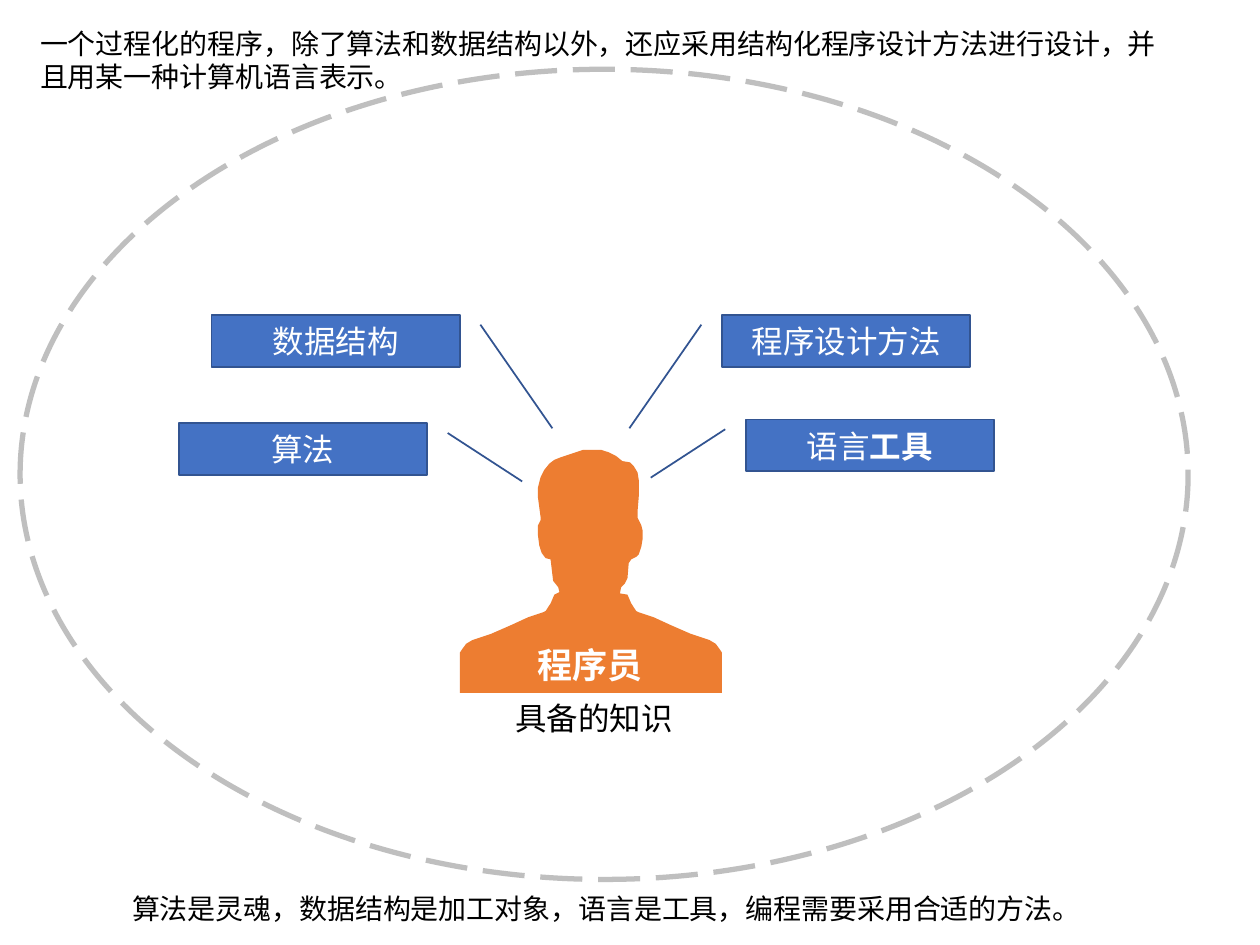
from dataclasses import dataclass

from lxml import etree
from pptx import Presentation
from pptx.dml.color import RGBColor
from pptx.enum.dml import MSO_LINE
from pptx.enum.shapes import MSO_SHAPE
from pptx.enum.text import MSO_ANCHOR, MSO_AUTO_SIZE, PP_ALIGN
from pptx.oxml.ns import qn
from pptx.shapes.autoshape import Shape
from pptx.slide import Slide
from pptx.text.text import TextFrame
from pptx.util import Inches, Pt

CALLOUT, ELLIPSE = MSO_SHAPE.LINE_CALLOUT_1, MSO_SHAPE.OVAL
LEFT, CENTER = PP_ALIGN.LEFT, PP_ALIGN.CENTER
MIDDLE, TOP = MSO_ANCHOR.MIDDLE, MSO_ANCHOR.TOP
LONG_DASH = MSO_LINE.LONG_DASH
FIT_SHAPE = MSO_AUTO_SIZE.SHAPE_TO_FIT_TEXT

BLUE = RGBColor(0x44, 0x72, 0xC4)
DARK_BLUE = RGBColor(0x32, 0x54, 0x91)
ORANGE = RGBColor(0xED, 0x7D, 0x31)
GRAY = RGBColor(0xBF, 0xBF, 0xBF)
WHITE = RGBColor(0xFF, 0xFF, 0xFF)
BLACK = RGBColor(0, 0, 0)
LATIN_FONT, CHINESE_FONT = "Calibri", "Noto Sans CJK SC"

# The page is a grid of 1000 columns by 750 rows.
COLUMNS, ROWS = 1000, 750
CELL = Inches(10) // COLUMNS

Point = tuple[int, int]
Runs = list[tuple[str, bool]]


@dataclass(frozen=True)
class Box:
    column: int
    row: int
    columns: int
    rows: int

    def place(self) -> tuple[int, int, int, int]:
        return (self.column * CELL, self.row * CELL,
                self.columns * CELL, self.rows * CELL)


@dataclass(frozen=True)
class Topic:
    runs: Runs
    column: int
    row: int
    steep: bool
    flipped: bool


TOPIC_COLUMNS, TOPIC_ROWS = 197, 41
STEEP_LEADER = (0.188, -0.083, 2.195, -0.373)
TOPICS = [
    Topic([("算法", False)], 142, 336, steep=False, flipped=True),
    Topic([("数据结构", False)], 168, 250, steep=True, flipped=True),
    Topic([("语言", False), ("工具", True)], 592, 333, steep=False, flipped=False),
    Topic([("程序设计方法", False)], 573, 250, steep=True, flipped=False),
]

BODY_AXIS = 469
HEAD_RIGHT = [
    (489, 362), (494, 366), (500, 367), (503, 370), (506, 375), (507, 381),
    (507, 394), (506, 406), (506, 411), (509, 417), (510, 421), (510, 428),
    (509, 434), (507, 440), (505, 442), (501, 444), (499, 447), (498, 459),
    (496, 463), (493, 466), (492, 471),
]
SHOULDER_RIGHT = [
    (498, 472), (501, 479), (505, 485), (507, 486), (519, 490), (532, 496),
    (548, 503), (563, 508), (568, 511), (571, 515), (573, 518), (573, 550),
]
HEAD_LEFT = [
    (444, 470), (443, 466), (439, 461), (437, 444), (433, 443), (430, 439),
    (428, 433), (427, 425), (427, 417), (429, 413), (429, 410), (427, 395),
    (427, 387), (429, 379), (432, 373), (436, 368), (440, 365), (445, 363),
    (454, 360), (463, 357), (469, 357), (477, 357), (483, 359),
]


def write_text(frame: TextFrame, runs: Runs, *, size: int, color: RGBColor,
               font: str, align: PP_ALIGN, anchor: MSO_ANCHOR) -> None:
    frame.word_wrap = True
    frame.vertical_anchor = anchor
    para = frame.paragraphs[0]
    para.alignment = align
    for text, bold in runs:
        span = para.add_run()
        span.text = text
        span.font.size = Pt(size)
        span.font.bold = bold
        span.font.color.rgb = color
        span.font.name = font
        properties = span.font._element
        etree.SubElement(properties, qn("a:ea"), typeface=CHINESE_FONT)


def add_text(page: Slide, box: Box, text: str, *, size: int,
             color: RGBColor = BLACK, font: str = CHINESE_FONT,
             align: PP_ALIGN = LEFT, bold: bool = False) -> None:
    frame = page.shapes.add_textbox(*box.place()).text_frame
    write_text(frame, [(text, bold)], size=size, color=color, font=font,
               align=align, anchor=TOP)
    frame.auto_size = FIT_SHAPE


def add_outlined(page: Slide, kind: MSO_SHAPE, box: Box, *,
                 line: RGBColor, width: float) -> Shape:
    shape = page.shapes.add_shape(kind, *box.place())
    shape.shadow.inherit = False
    shape.line.color.rgb = line
    shape.line.width = Pt(width)
    return shape


def add_topic(page: Slide, topic: Topic) -> None:
    """Draw a callout whose leader points at the programmer."""
    box = Box(topic.column, topic.row, TOPIC_COLUMNS, TOPIC_ROWS)
    shape = add_outlined(page, CALLOUT, box, line=DARK_BLUE, width=1)
    shape.fill.solid()
    shape.fill.fore_color.rgb = BLUE
    if topic.steep:
        for index, value in enumerate(STEEP_LEADER):
            shape.adjustments[index] = value
    if topic.flipped:
        shape._element.spPr.xfrm.set("flipH", "1")
    write_text(shape.text_frame, topic.runs, size=18, color=WHITE,
               font=LATIN_FONT, align=CENTER, anchor=MIDDLE)


def add_programmer(page: Slide) -> None:
    """Draw the bust; its shoulders mirror each other about the body axis."""
    shoulder_left: list[Point] = [(2 * BODY_AXIS - column, row)
                                  for column, row in reversed(SHOULDER_RIGHT)]
    outline = HEAD_RIGHT + SHOULDER_RIGHT + shoulder_left + HEAD_LEFT
    builder = page.shapes.build_freeform(*outline[0], scale=CELL)
    builder.add_line_segments(outline[1:], close=True)
    bust = builder.convert_to_shape()
    bust.shadow.inherit = False
    bust.fill.solid()
    bust.fill.fore_color.rgb = ORANGE
    bust.line.fill.background()


def main() -> None:
    deck = Presentation()
    deck.slide_width, deck.slide_height = COLUMNS * CELL, ROWS * CELL
    page = deck.slides.add_slide(deck.slide_layouts[6])

    add_programmer(page)
    add_text(page, Box(413, 506, 111, 44), "程序员", size=20, color=WHITE,
             font=LATIN_FONT, align=CENTER, bold=True)
    for topic in TOPICS:
        add_topic(page, topic)

    ring = add_outlined(page, ELLIPSE, Box(16, 55, 927, 643), line=GRAY, width=3)
    ring.fill.background()
    ring.line.dash_style = LONG_DASH

    add_text(page, Box(22, 16, 910, 64),
             "一个过程化的程序，除了算法和数据结构以外，还应采用结构化程序设计方法进行设计，"
             "并且用某一种计算机语言表示。", size=16)
    add_text(page, Box(399, 550, 170, 40), "具备的知识", size=18)
    add_text(page, Box(95, 703, 844, 37),
             "算法是灵魂，数据结构是加工对象，语言是工具，编程需要采用合适的方法。", size=16)
    deck.save("out.pptx")


if __name__ == "__main__":
    main()
